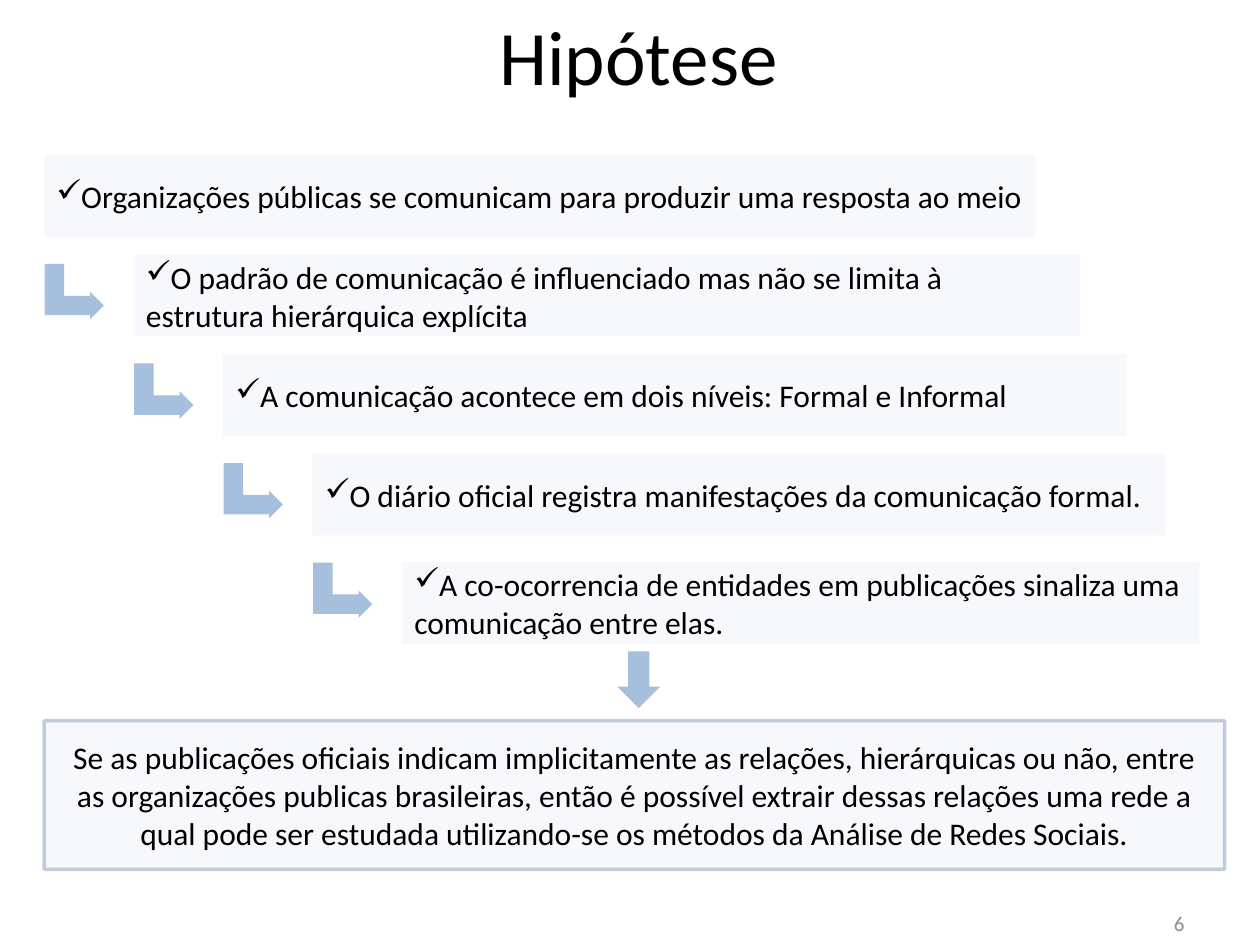
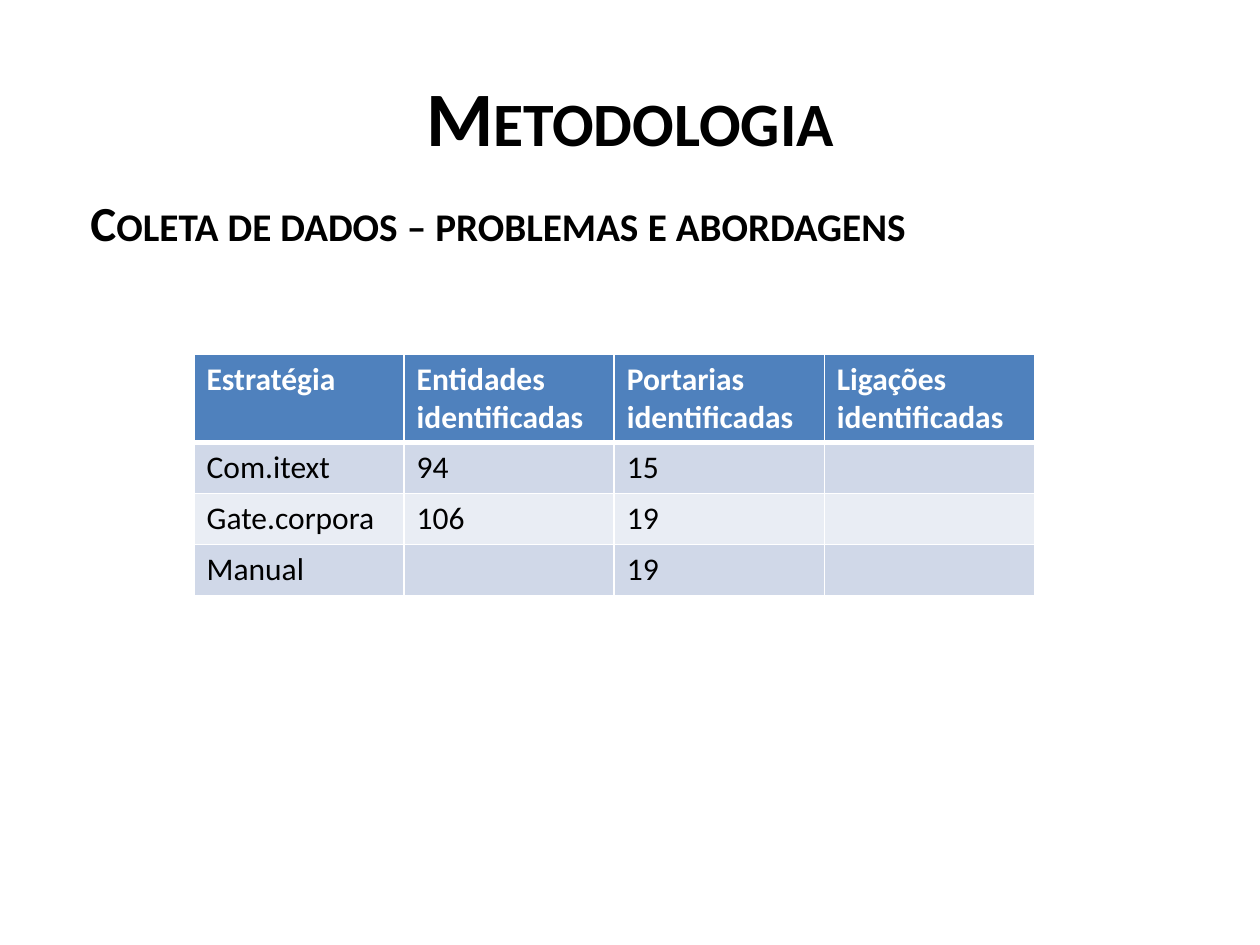
from lxml.etree import SubElement
from pptx import Presentation
from pptx.dml.color import RGBColor
from pptx.enum.shapes import MSO_SHAPE as Shape
from pptx.enum.text import MSO_ANCHOR as Anchor, PP_ALIGN as Align
from pptx.oxml.ns import qn
from pptx.util import Inches, Pt

# Content
HYPOTHESES = [  # text, box width
    ("Organizações públicas se comunicam para produzir uma resposta ao meio", 7.87),
    ("O padrão de comunicação é influenciado mas não se limita à "
     "estrutura hierárquica explícita", 7.51),
    ("A comunicação acontece em dois níveis: Formal e Informal", 7.17),
    ("O diário oficial registra manifestações da comunicação formal.", 6.77),
    ("A co-ocorrencia de entidades em publicações sinaliza uma "
     "comunicação entre elas.", 6.33),
]
CONCLUSION = (
    "Se as publicações oficiais indicam implicitamente as relações, hierárquicas "
    "ou não, entre as organizações publicas brasileiras, então é possível extrair "
    "dessas relações uma rede a qual pode ser estudada utilizando-se os métodos "
    "da Análise de Redes Sociais."
)
SUBTITLE = "Coleta de dados – problemas e abordagens"
RESULTS = [
    ("Estratégia", "Entidades identificadas", "Portarias identificadas",
     "Ligações identificadas"),
    ("Com.itext", "94", "15", ""),
    ("Gate.corpora", "106", "19", ""),
    ("Manual", "", "19", ""),
]

# Shared style
COLORS = {
    "text": "000000", "white": "FFFFFF", "accent": "4F81BD", "frame": "3A5F8C",
    "number": "8C8C8C", "odd_row": "D0D8E8", "even_row": "E9EDF4",
}
BODY = {"size": Pt(18), "color": "text"}
TITLE = {"size": Pt(44), "color": "text"}
SMALL_CAPS = {"color": "text", "bold": True, "caps": "small"}

# Staircase: first position and step from one hypothesis to the next
LEFT, TOP, STEP_X, STEP_Y = 0.35, 1.23, 0.71, 0.79
BOX_HEIGHT = 0.65
LAST_BOX_DROP = 0.07
ARROW_LEFT, ARROW_TOP = 0.37, 2.08


def rgb(name):
    return RGBColor.from_string(COLORS[name])


def inches(*lengths):
    return [Inches(length) for length in lengths]


def write(frame, text, style, align=Align.LEFT):
    """Put one formatted paragraph in a text frame."""
    para = frame.paragraphs[0]
    para.alignment = align
    span = para.add_run()
    span.text = text
    span.font.name = "Calibri"
    for name, value in style.items():
        if name == "color":
            span.font.color.rgb = rgb(value)
        elif name == "caps":
            span.font._element.set("cap", value)
        else:
            setattr(span.font, name, value)
    return para


def add_page(deck, title, top, style):
    page = deck.slides.add_slide(deck.slide_layouts[5])
    box = page.shapes.title
    box.left, box.top, box.width, box.height = inches(0.5, top, 9, 1.25)
    box.text_frame.vertical_anchor = Anchor.MIDDLE
    write(box.text_frame, title, style, Align.CENTER)
    return page


def add_text(page, place, text, style, align=Align.LEFT, anchor=Anchor.TOP):
    box = page.shapes.add_textbox(*inches(*place))
    box.text_frame.word_wrap = True
    box.text_frame.vertical_anchor = anchor
    return write(box.text_frame, text, style, align)


def set_opacity(parent, percent):
    color = parent.find(qn("a:solidFill")).find(qn("a:srgbClr"))
    SubElement(color, qn("a:alpha"), val=str(percent * 1000))


def add_tinted(page, kind, place, opacity):
    """Add a borderless shape in see-through accent colour."""
    shape = page.shapes.add_shape(kind, *inches(*place))
    shape.shadow.inherit = False
    shape.fill.solid()
    shape.fill.fore_color.rgb = rgb("accent")
    set_opacity(shape.element.spPr, opacity)
    shape.line.fill.background()
    return shape


def add_statement(page, place, text, align=Align.LEFT):
    box = add_tinted(page, Shape.RECTANGLE, place, 5)
    box.text_frame.word_wrap = True
    box.text_frame.vertical_anchor = Anchor.MIDDLE
    return box, write(box.text_frame, text, BODY, align)


def set_borders(cell, widths):
    properties = cell._tc.get_or_add_tcPr()
    for side, width in widths.items():
        line = SubElement(properties, qn(f"a:ln{side}"), w=str(Pt(width)))
        fill = SubElement(line, qn("a:solidFill"))
        SubElement(fill, qn("a:srgbClr"), val=COLORS["white"])


def build_hypothesis(deck):
    page = add_page(deck, " Hipótese", -0.19, TITLE)

    # Stepped statements, each led in by a bent arrow
    last = len(HYPOTHESES) - 1
    for step, (text, width) in enumerate(HYPOTHESES):
        top = TOP + step * STEP_Y + (LAST_BOX_DROP if step == last else 0)
        place = (LEFT + step * STEP_X, top, width, BOX_HEIGHT)
        para = add_statement(page, place, text)[1]
        SubElement(para._p.get_or_add_pPr(), qn("a:buChar"), char="✓")
        if step < last:
            place = (ARROW_LEFT + step * STEP_X, ARROW_TOP + step * STEP_Y, 0.44, 0.47)
            arrow = add_tinted(page, Shape.BENT_UP_ARROW, place, 50)
            arrow.rotation = 90
            for index, value in enumerate((0.35, 0.25, 0.25)):
                arrow.adjustments[index] = value

    # Framed conclusion
    add_tinted(page, Shape.DOWN_ARROW, (4.9, 5.17, 0.34, 0.45), 50)
    box = add_statement(page, (LEFT, 5.72, 9.37, 1.18), CONCLUSION, Align.CENTER)[0]
    box.line.color.rgb = rgb("frame")
    box.line.width = Pt(2)
    set_opacity(box.element.spPr.find(qn("a:ln")), 30)

    # Page number
    add_text(page, (7.17, 7.13, 2.33, 0.4), "6", {"size": Pt(12), "color": "number"},
             Align.RIGHT, Anchor.MIDDLE)


def build_methodology(deck):
    page = add_page(deck, "Metodologia", 0.29, TITLE | SMALL_CAPS)
    add_text(page, (0.62, 1.48, 8.5, 1.1), SUBTITLE, {"size": Pt(28)} | SMALL_CAPS)

    # Results table
    table = page.shapes.add_table(
        len(RESULTS), len(RESULTS[0]), *inches(1.54, 2.81, 6.67, 1.92)).table
    table.horz_banding = False
    for column in table.columns:
        column.width = Inches(6.67 / len(RESULTS[0]))
    for row, values in enumerate(RESULTS):
        header = row == 0
        table.rows[row].height = Inches(0.7 if header else 0.405)
        fill = "accent" if header else "odd_row" if row % 2 else "even_row"
        style = BODY | {"color": "white" if header else "text", "bold": header}
        borders = {"L": 1, "R": 1, "T": 3 if row == 1 else 1, "B": 3 if header else 1}
        for column, value in enumerate(values):
            cell = table.cell(row, column)
            set_borders(cell, borders)
            cell.fill.solid()
            cell.fill.fore_color.rgb = rgb(fill)
            if value:
                write(cell.text_frame, value, style)


def main():
    deck = Presentation()
    deck.slide_width, deck.slide_height = inches(10, 7.5)
    build_hypothesis(deck)
    build_methodology(deck)
    deck.save("out.pptx")


if __name__ == "__main__":
    main()
